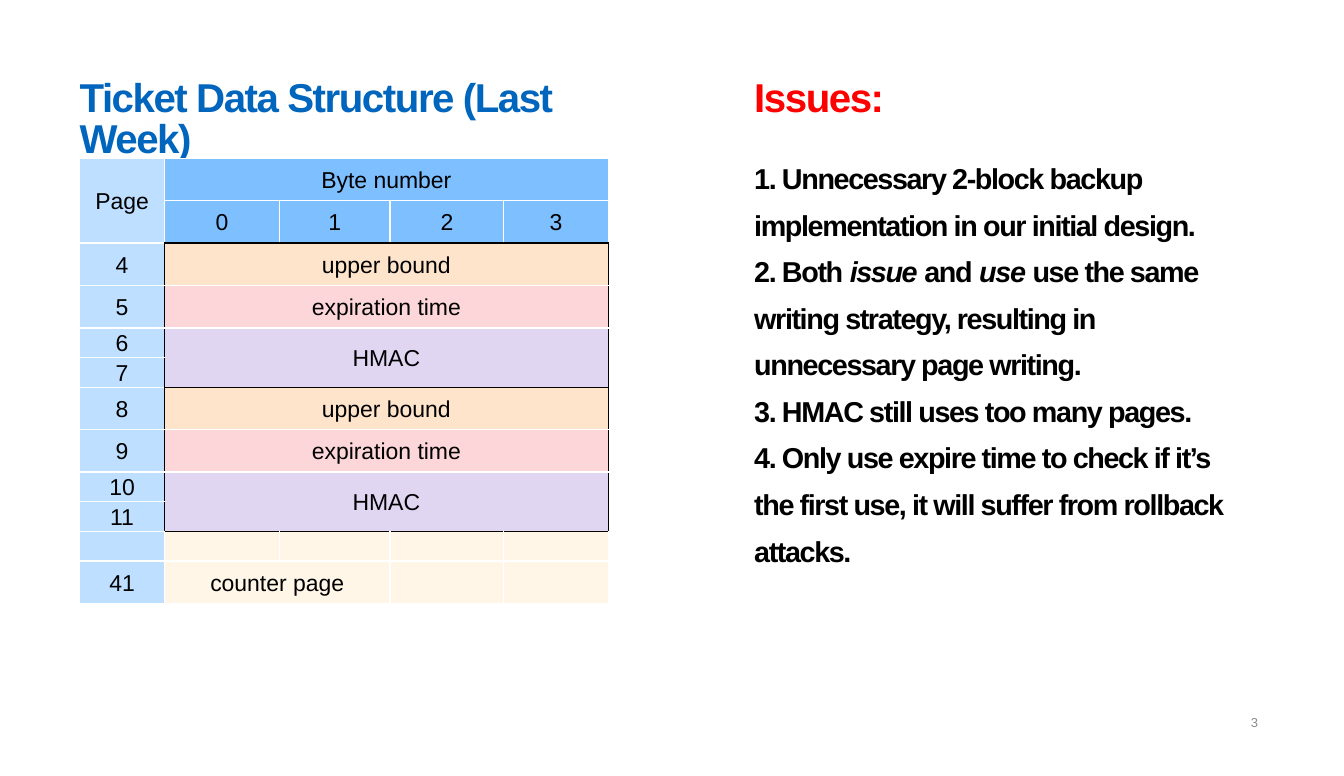
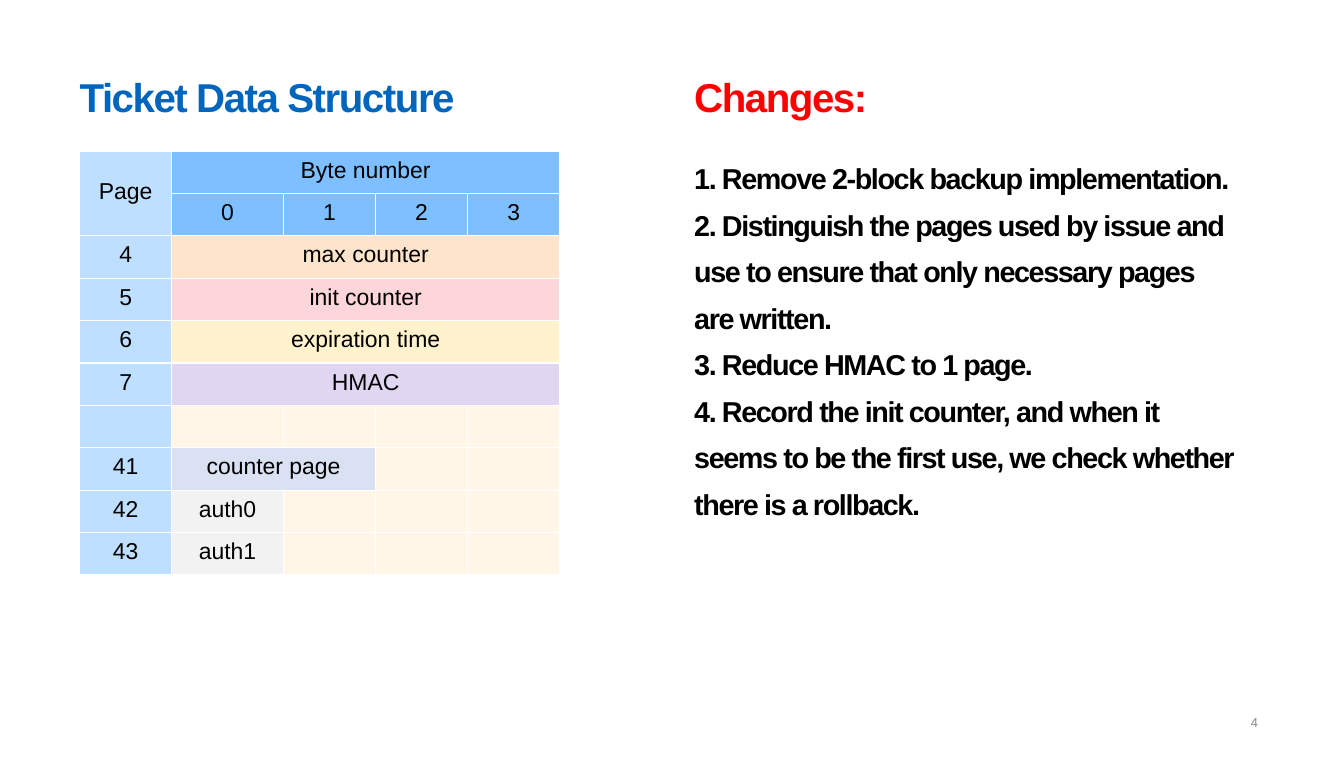
import lxml.etree
import pptx
import pptx.dml.color
import pptx.enum.text
import pptx.oxml.ns
import pptx.util

RGBColor = pptx.dml.color.RGBColor
Inches, Pt = pptx.util.Inches, pptx.util.Pt
Align, Anchor = pptx.enum.text.PP_ALIGN, pptx.enum.text.MSO_ANCHOR
qn = pptx.oxml.ns.qn

BLUE = RGBColor(0x00, 0x65, 0xBD)
RED = RGBColor(0xFF, 0x00, 0x00)
BLACK = RGBColor(0x00, 0x00, 0x00)
WHITE = RGBColor(0xFF, 0xFF, 0xFF)
GRAY = RGBColor(0x8C, 0x8C, 0x8C)
PAGE_BLUE = RGBColor(0xBE, 0xDF, 0xFF)
BYTE_BLUE = RGBColor(0x7D, 0xBF, 0xFF)
ORANGE = RGBColor(0xFF, 0xE4, 0xCC)
PINK = RGBColor(0xFC, 0xD6, 0xD9)
YELLOW = RGBColor(0xFF, 0xF2, 0xCC)
PURPLE = RGBColor(0xE0, 0xD6, 0xF2)
CREAM = RGBColor(0xFF, 0xF6, 0xE7)
LAVENDER = RGBColor(0xD9, 0xE1, 0xF2)
LIGHT_GRAY = RGBColor(0xF2, 0xF2, 0xF2)

FONT = "Arial"
SLIDE_WIDTH, SLIDE_HEIGHT = 12.99, 7.5
MARGIN = 0.77
TALL, SHORT = 0.41, 0.28
BYTES = 4

# Blocks: (first row, text, fill, columns, rows), each starting at byte 0.
TICKET_BLOCKS = [("upper bound", ORANGE, 1), ("expiration time", PINK, 1), ("HMAC", PURPLE, 2)]

SLIDES = [
    {
        "number": "3",
        "title": "Ticket Data Structure (Last Week)",
        "table_top": 1.53,
        "columns": [0.82, 1.11, 1.07, 1.1, 1.01],
        "pages": ["4", "5", "6", "7", "8", "9", "10", "11", "", "41"],
        "short_pages": {"6", "7", "10", "11", ""},
        "insets": (0.02, 0.02, 0.02, 0),
        "blocks": [
            (start + offset, text, fill, BYTES, rows)
            for start in (2, 6)
            for offset, (text, fill, rows) in enumerate(TICKET_BLOCKS)
        ] + [(11, "counter page", CREAM, 2, 1)],
        "frames": [(2, 5), (6, 9)],
        "notes_box": (7.29, 4.6),
        "heading": "Issues:",
        "points": [
            "1. Unnecessary 2-block backup implementation in our initial design.",
            "2. Both *issue *and *use* use the same writing strategy, resulting in unnecessary page writing.",
            "3. HMAC still uses too many pages.",
            "4. Only use expire time to check if it’s the first use, it will suffer from rollback attacks.",
        ],
    },
    {
        "number": "4",
        "title": "Ticket Data Structure",
        "table_top": 1.46,
        "columns": [0.89, 1.08, 0.89, 0.89, 0.89],
        "pages": ["4", "5", "6", "7", "", "41", "42", "43"],
        "short_pages": set(),
        "insets": (0.01, 0.01, 0.01, 0.05),
        "blocks": [
            (2, "max counter", ORANGE, BYTES, 1),
            (3, "init counter", PINK, BYTES, 1),
            (4, "expiration time", YELLOW, BYTES, 1),
            (5, "HMAC", PURPLE, BYTES, 1),
            (7, "counter page", LAVENDER, 2, 1),
            (8, "auth0", LIGHT_GRAY, 1, 1),
            (9, "auth1", LIGHT_GRAY, 1, 1),
        ],
        "frames": [],
        "notes_box": (6.71, 5.21),
        "heading": "Changes:",
        "points": [
            "1. Remove 2-block backup implementation.",
            "2. Distinguish the pages used by issue and use to ensure that only necessary pages are written.",
            "3. Reduce HMAC to 1 page.",
            "4. Record the init counter, and when it seems to be the first use, we check whether there is a rollback.",
        ],
    },
]


def write(paragraph, text, size, color=BLACK, bold=False, tracking=0,
          align=Align.LEFT, line_spacing=1.0, space_after=0):
    """Fill a paragraph; parts between asterisks are italic."""
    paragraph.alignment = align
    paragraph.line_spacing = line_spacing
    paragraph.space_after = Pt(space_after)
    for index, part in enumerate(text.split("*")):
        if not part:
            continue
        run = paragraph.add_run()
        run.text = part
        font = run.font
        font.name, font.size, font.bold = FONT, Pt(size), bold
        font.italic = index % 2 == 1
        font.color.rgb = color
        if tracking:
            run._r.get_or_add_rPr().set("spc", str(tracking * 100))
    if not text:
        end = lxml.etree.SubElement(paragraph._p, qn("a:endParaRPr"))
        end.set("sz", str(size * 100))


def add_text_box(slide, left, top, width, height, insets=(0, 0, 0, 0), anchor=Anchor.TOP):
    box = slide.shapes.add_textbox(*map(Inches, (left, top, width, height)))
    frame = box.text_frame
    frame.word_wrap = True
    frame.vertical_anchor = anchor
    (frame.margin_left, frame.margin_top,
     frame.margin_right, frame.margin_bottom) = map(Inches, insets)
    return frame


def write_heading(paragraph, text, color, space_after=0):
    write(paragraph, text, 28, color=color, bold=True, tracking=-1,
          line_spacing=0.85, space_after=space_after)


def set_edge(cell, side, color):
    properties = cell._tc.get_or_add_tcPr()
    line = properties.find(qn("a:ln" + side))
    if line is None:
        line = lxml.etree.SubElement(properties, qn("a:ln" + side), w=str(Pt(1)))
        fill = lxml.etree.SubElement(line, qn("a:solidFill"))
        lxml.etree.SubElement(fill, qn("a:srgbClr"))
    line.find(".//" + qn("a:srgbClr")).set("val", str(color))


def draw_frame(table, first_row, last_row):
    """Outline the byte columns of some rows in black, on both sides of each edge."""
    for row in range(first_row, last_row + 1):
        set_edge(table.cell(row, 0), "R", BLACK)
        for column in range(1, BYTES + 1):
            cell = table.cell(row, column)
            if column == 1:
                set_edge(cell, "L", BLACK)
            if column + cell.span_width - 1 == BYTES:
                set_edge(cell, "R", BLACK)
            if row == first_row:
                set_edge(cell, "T", BLACK)
            if row + cell.span_height - 1 == last_row:
                set_edge(cell, "B", BLACK)
    for column in range(1, BYTES + 1):
        set_edge(table.cell(first_row - 1, column), "B", BLACK)
        set_edge(table.cell(last_row + 1, column), "T", BLACK)


def add_page_table(slide, content):
    heights = [TALL, TALL] + [
        SHORT if page in content["short_pages"] else TALL for page in content["pages"]
    ]
    widths = content["columns"]
    table = slide.shapes.add_table(
        len(heights), len(widths), Inches(MARGIN), Inches(content["table_top"]),
        Inches(sum(widths)), Inches(sum(heights))).table
    table.first_row = table.horz_banding = False
    for column, width in zip(table.columns, widths):
        column.width = Inches(width)
    for row, height in zip(table.rows, heights):
        row.height = Inches(height)

    texts = {(0, 0): "Page", (0, 1): "Byte number"}
    texts.update({(1, byte + 1): str(byte) for byte in range(BYTES)})
    texts.update({(row, 0): page for row, page in enumerate(content["pages"], 2)})
    fills = {}
    spans = [(0, 0, 1, 2), (0, 1, BYTES, 1)]
    for row, text, fill, columns, rows in place_blocks(content["blocks"]):
        texts[row, 1], fills[row, 1] = text, fill
        spans.append((row, 1, columns, rows))
    for row, column, columns, rows in spans:
        if columns * rows > 1:
            table.cell(row, column).merge(table.cell(row + rows - 1, column + columns - 1))

    for row in range(len(heights)):
        for column in range(len(widths)):
            cell = table.cell(row, column)
            for side in "LRTB":
                set_edge(cell, side, WHITE)
            default = PAGE_BLUE if column == 0 else BYTE_BLUE if row < 2 else CREAM
            cell.fill.solid()
            cell.fill.fore_color.rgb = fills.get((row, column), default)
            cell.vertical_anchor = Anchor.MIDDLE
            (cell.margin_left, cell.margin_top,
             cell.margin_right, cell.margin_bottom) = map(Inches, content["insets"])
            write(cell.text_frame.paragraphs[0], texts.get((row, column), ""), 16,
                  align=Align.CENTER)
    for first_row, last_row in content["frames"]:
        draw_frame(table, first_row, last_row)


def place_blocks(blocks):
    """Yield the blocks, each moved below the one before it if they would overlap."""
    next_row = 0
    for row, *block in blocks:
        row = max(row, next_row)
        next_row = row + block[-1]
        yield (row, *block)


def add_notes(slide, content):
    left, width = content["notes_box"]
    frame = add_text_box(slide, left, MARGIN, width, 5.31)
    write_heading(frame.paragraphs[0], content["heading"], RED, space_after=19.5)
    for point in content["points"]:
        write(frame.add_paragraph(), point, 20, bold=True, tracking=-1, line_spacing=1.35)


def main():
    presentation = pptx.Presentation()
    presentation.slide_width = Inches(SLIDE_WIDTH)
    presentation.slide_height = Inches(SLIDE_HEIGHT)
    for content in SLIDES:
        slide = presentation.slides.add_slide(presentation.slide_layouts[6])
        title = add_text_box(slide, MARGIN, MARGIN, 5.6, 0.58)
        write_heading(title.paragraphs[0], content["title"], BLUE)
        number = add_text_box(slide, 7.02, 6.89, 5.14, 0.18,
                              insets=(0.1, 0.05, 0, 0.05), anchor=Anchor.MIDDLE)
        write(number.paragraphs[0], content["number"], 9, color=GRAY, align=Align.RIGHT)
        add_page_table(slide, content)
        add_notes(slide, content)
    presentation.save("out.pptx")


if __name__ == "__main__":
    main()
